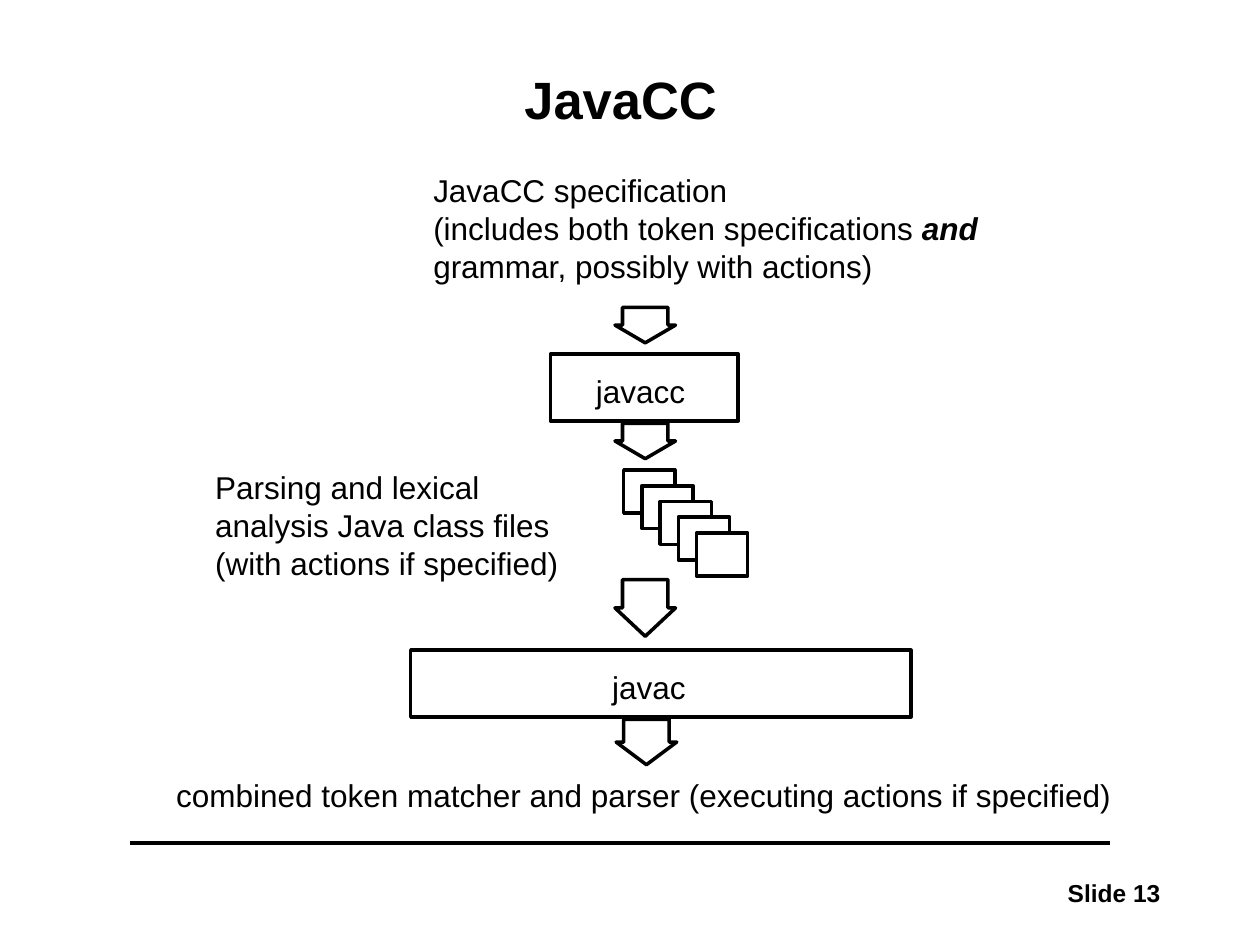
"""Build the JavaCC tool-chain slide."""
from dataclasses import dataclass

import lxml.etree
import pptx
import pptx.dml.color
import pptx.enum.shapes
import pptx.enum.text
import pptx.oxml.ns
import pptx.util

Pt = pptx.util.Pt
ALIGN = pptx.enum.text.PP_ALIGN
SHAPE = pptx.enum.shapes.MSO_SHAPE


@dataclass(frozen=True)
class Theme:
    ink: pptx.dml.color.RGBColor = pptx.dml.color.RGBColor(0, 0, 0)
    paper: pptx.dml.color.RGBColor = pptx.dml.color.RGBColor(255, 255, 255)
    face: str = "Arial"
    title_size: float = 30
    body_size: float = 18
    footer_size: float = 14
    stroke: float = 2


@dataclass(frozen=True)
class Frame:
    left: float
    top: float
    width: float
    height: float

    def lengths(self) -> tuple:
        return tuple(Pt(v) for v in (self.left, self.top, self.width, self.height))


@dataclass(frozen=True)
class Span:
    text: str
    strong: bool = False


@dataclass(frozen=True)
class Label:
    frame: Frame
    lines: tuple
    size: float
    bold: bool = False
    align: ALIGN = ALIGN.LEFT


THEME = Theme()


def apply_font(font, size: float, **extra) -> None:
    values = {"name": THEME.face, "size": Pt(size), **extra}
    for key, value in values.items():
        setattr(font, key, value)
    font.color.rgb = THEME.ink


def draw_label(slide, label: Label) -> None:
    text_frame = slide.shapes.add_textbox(*label.frame.lengths()).text_frame
    text_frame.word_wrap = False
    for index, spans in enumerate(label.lines):
        paragraph = text_frame.add_paragraph() if index else text_frame.paragraphs[0]
        paragraph.alignment = label.align
        for span in spans:
            run = paragraph.add_run()
            run.text = span.text
            apply_font(run.font, label.size, bold=label.bold or span.strong, italic=span.strong)


def draw_outline(slide, kind: SHAPE, frame: Frame, adjustments: tuple = ()) -> None:
    outline = slide.shapes.add_shape(kind, *frame.lengths())
    outline.shadow.inherit = False
    outline.fill.solid()
    outline.fill.fore_color.rgb = THEME.paper
    outline.line.color.rgb = THEME.ink
    outline.line.width = Pt(THEME.stroke)
    for index, value in enumerate(adjustments):
        outline.adjustments[index] = value


def draw_rule(slide, left: float, right: float, y: float) -> None:
    rule = slide.shapes.add_connector(
        pptx.enum.shapes.MSO_CONNECTOR.STRAIGHT, Pt(left), Pt(y), Pt(right), Pt(y))
    rule.line.color.rgb = THEME.ink
    rule.line.width = Pt(THEME.stroke)
    lxml.etree.SubElement(rule._element.spPr, pptx.oxml.ns.qn("a:effectLst"))


def draw_title(slide, text: str, frame: Frame) -> None:
    title = slide.shapes.title
    for side, value in zip(("left", "top", "width", "height"), frame.lengths()):
        setattr(title, side, value)
    title.text_frame.text = text
    title.text_frame.vertical_anchor = pptx.enum.text.MSO_ANCHOR.MIDDLE
    heading = title.text_frame.paragraphs[0]
    heading.alignment = ALIGN.CENTER
    heading.line_spacing = 0.9
    apply_font(heading.runs[0].font, THEME.title_size, bold=True)


TOOLS = (Frame(314.6, 202.3, 107.3, 38.2), Frame(234.7, 371.5, 285.8, 38.2))
ARROWS = (
    Frame(351.4, 175.7, 34.6, 20.2),
    Frame(351.4, 241.9, 34.6, 20.2),
    Frame(351.4, 331.2, 34.6, 32.4),
    Frame(352.1, 411.1, 34.6, 25.9),
)
CLASS_FILES = tuple(Frame(356.4 + 10.4 * i, 268.6 + 9 * i, 29.3, 24.5) for i in range(5))
LABELS = (
    Label(Frame(240.5, 94.3, 325.4, 72), (
        (Span("JavaCC specification"),),
        (Span("(includes both token specifications "), Span("and", True)),
        (Span("grammar, possibly with actions)"),),
    ), THEME.body_size),
    Label(Frame(333.4, 208.8, 65.5, 28.8), ((Span("javacc"),),), THEME.body_size),
    Label(Frame(115.9, 264.2, 211, 72), (
        (Span("Parsing and lexical"),),
        (Span("analysis Java class files"),),
        (Span("(with actions if specified)"),),
    ), THEME.body_size),
    Label(Frame(342.7, 378, 56.9, 28.8), ((Span("javac"),),), THEME.body_size),
    Label(Frame(93.6, 439.9, 548.6, 28.8), (
        (Span("combined token matcher and parser (executing actions if specified)"),),
    ), THEME.body_size),
    Label(Frame(550.1, 498.2, 120.2, 23.8), ((Span("Slide 13"),),),
          THEME.footer_size, True, ALIGN.RIGHT),
)


def main() -> None:
    deck = pptx.Presentation()
    deck.slide_width, deck.slide_height = Pt(720), Pt(540)
    slide = deck.slides.add_slide(deck.slide_layouts[5])
    draw_rule(slide, 74.2, 634.3, 481.7)
    draw_title(slide, "JavaCC", Frame(77.8, 23.8, 553.7, 69.1))
    for frame in TOOLS + CLASS_FILES:
        draw_outline(slide, SHAPE.RECTANGLE, frame)
    for frame in ARROWS:
        draw_outline(slide, SHAPE.DOWN_ARROW, frame, (0.75, 0.5))
    for label in LABELS:
        draw_label(slide, label)
    deck.save("out.pptx")


if __name__ == "__main__":
    main()
